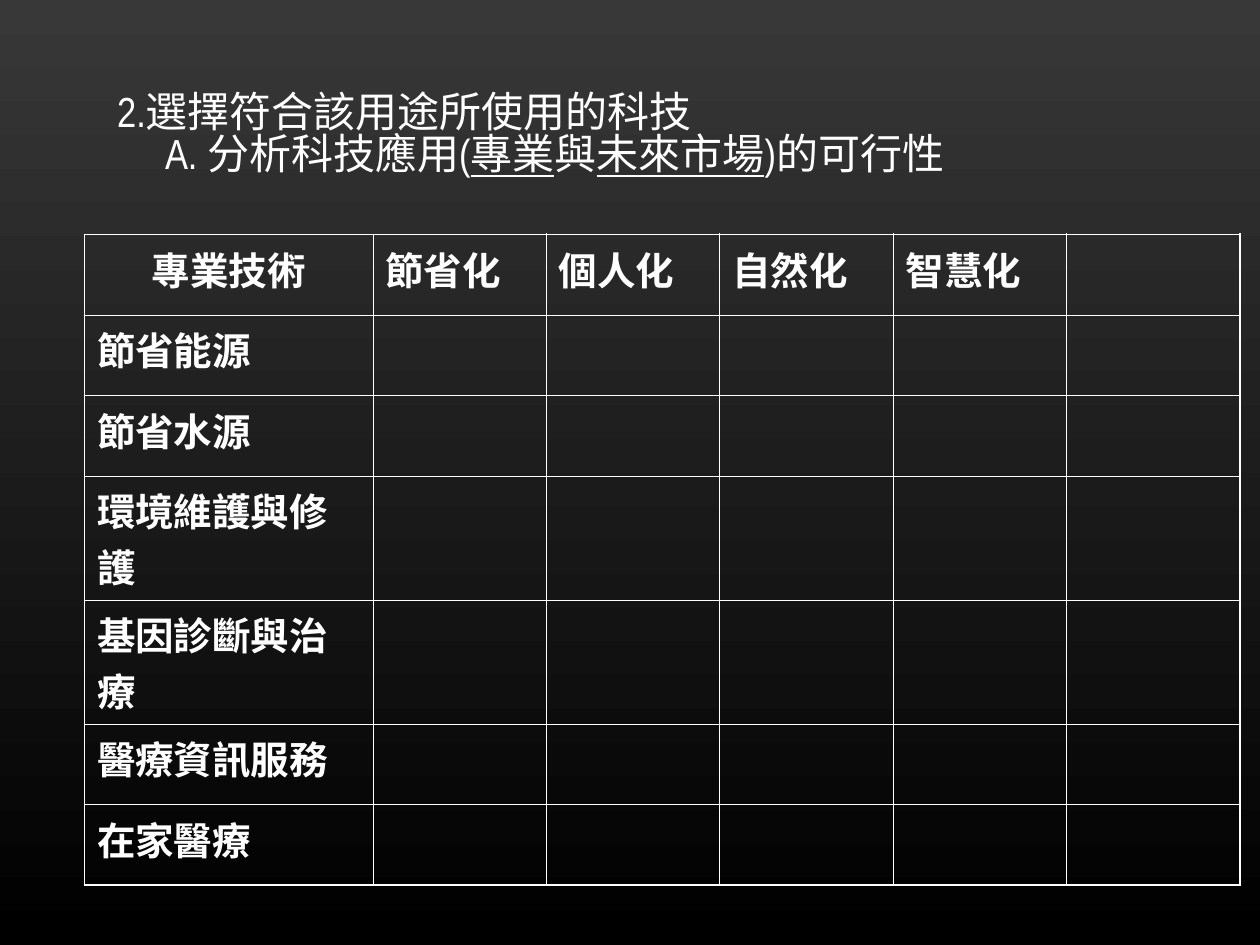
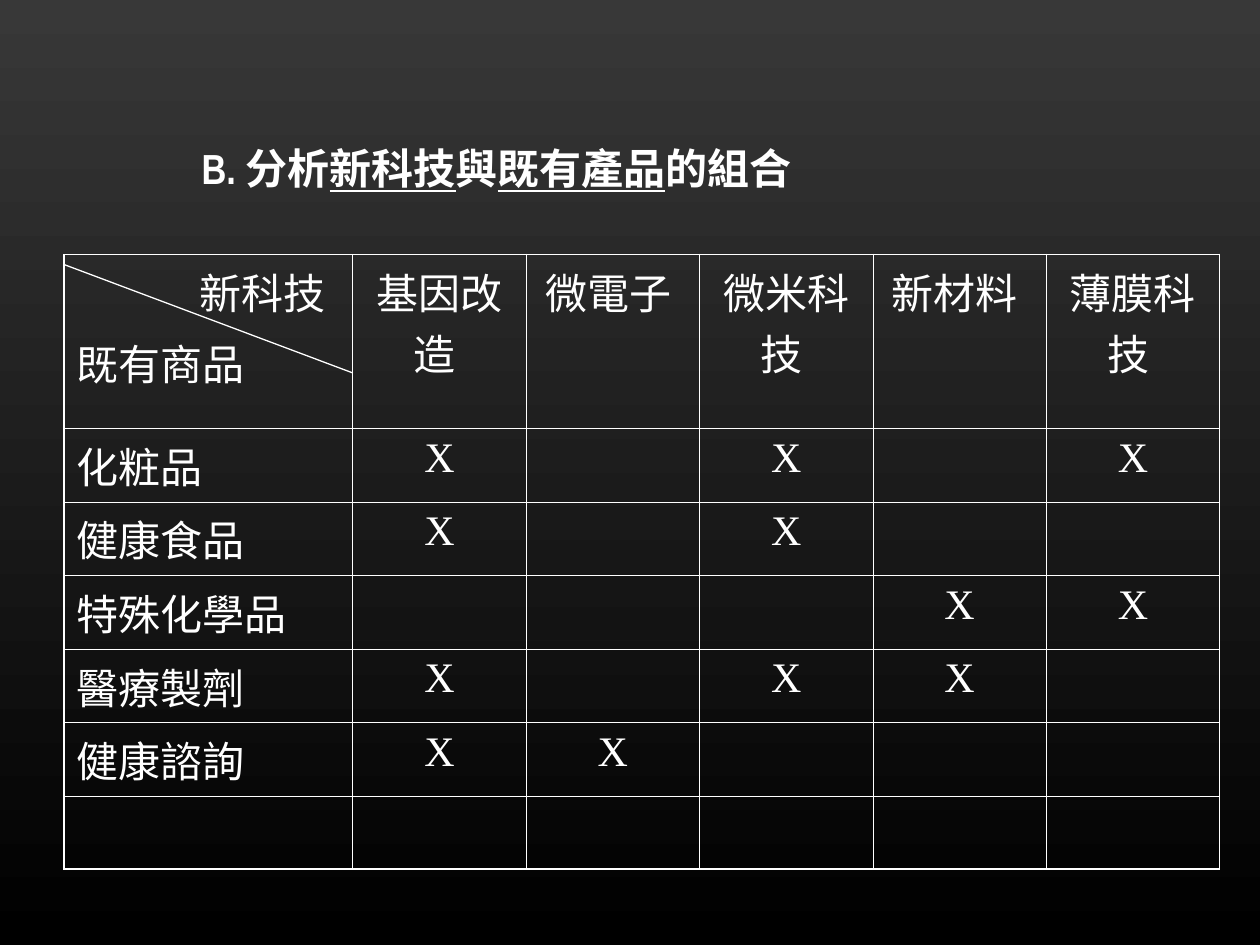
import pptx
import pptx.dml.color
import pptx.enum.shapes
import pptx.enum.text
import pptx.oxml
import pptx.oxml.ns
import pptx.util

Inches = pptx.util.Inches
Pt = pptx.util.Pt
ALIGN = pptx.enum.text.PP_ALIGN

COLORS = {"top": "383838", "bottom": "000000", "white": "FFFFFF"}
LATIN, CJK, SANS, SERIF = "Arial Narrow", "Noto Sans CJK SC", "DejaVu Sans", "Times New Roman"
THIN, THICK = 0.45, 1.08
FIRST_COLUMN, OTHER_COLUMN = 2.29, 1.376


def rgb(name):
    """Return the named palette colour."""
    return pptx.dml.color.RGBColor.from_string(COLORS[name])


def add_text(paragraph, text, size=24, font=CJK, bold=False, underline=False, color="white"):
    """Append one formatted run to a paragraph."""
    run = paragraph.add_run()
    run.text = text
    run.font.size = Pt(size)
    run.font.name = font
    run.font.bold = bold
    run.font.underline = underline
    run.font.color.rgb = rgb(color)
    east_asian = pptx.oxml.parse_xml(
        f'<a:ea {pptx.oxml.ns.nsdecls("a")} typeface="{CJK}"/>')
    run.font._element.find(pptx.oxml.ns.qn("a:latin")).addnext(east_asian)


def set_indent(paragraph, inches):
    """Indent a whole paragraph from the left."""
    properties = paragraph._p.get_or_add_pPr()
    properties.set("marL", str(Inches(inches)))
    properties.set("indent", "0")


def set_borders(cell, widths):
    """Draw the left, right, top and bottom borders of a cell, widths in points."""
    properties = cell._tc.get_or_add_tcPr()
    for position, (side, width) in enumerate(zip("LRTB", widths)):
        properties.insert(position, pptx.oxml.parse_xml(
            f'<a:ln{side} {pptx.oxml.ns.nsdecls("a")} w="{Pt(width)}"><a:solidFill>'
            f'<a:srgbClr val="{COLORS["white"]}"/></a:solidFill></a:ln{side}>'))


class Deck:
    """Holds the shared style and the current slide."""

    def __init__(self):
        """Start a 4:3 presentation with the dark gradient on its master."""
        self.prs = pptx.Presentation()
        self.prs.slide_width, self.prs.slide_height = Inches(10), Inches(7.5)
        fill = self.prs.slide_master.background.fill
        fill.gradient()
        fill.gradient_angle = 270
        for stop, name, position in zip(fill.gradient_stops, ("top", "bottom"), (0, 1)):
            stop.color.rgb = rgb(name)
            stop.position = position
        self.slide = None

    def add_slide(self):
        """Begin a slide that has only a title."""
        self.slide = self.prs.slides.add_slide(self.prs.slide_layouts[5])

    def title(self, left, top, lines, bold=False):
        """Fill the title; each line is an indent and a list of (text, font, underline)."""
        title = self.slide.shapes.title
        title.left, title.top = Inches(left), Inches(top)
        title.width, title.height = Inches(8), Inches(1.25)
        frame = title.text_frame
        frame.word_wrap = True
        frame.auto_size = pptx.enum.text.MSO_AUTO_SIZE.NONE
        frame.vertical_anchor = pptx.enum.text.MSO_ANCHOR.BOTTOM
        for number, (indent, parts) in enumerate(lines):
            paragraph = frame.add_paragraph() if number else frame.paragraphs[0]
            paragraph.alignment = ALIGN.LEFT
            paragraph.line_spacing = 0.82
            set_indent(paragraph, indent)
            for text, font, underline in parts:
                add_text(paragraph, text, font=font, underline=underline, bold=bold)

    def grid(self, left, top, heights, columns=6):
        """Add an unfilled table with thin inner and thick outer borders."""
        rows = len(heights)
        width = FIRST_COLUMN + (columns - 1) * OTHER_COLUMN
        table = self.slide.shapes.add_table(
            rows, columns, Inches(left), Inches(top), Inches(width), Inches(sum(heights))).table
        table.first_row = table.horz_banding = False
        for number, column in enumerate(table.columns):
            column.width = Inches(OTHER_COLUMN if number else FIRST_COLUMN)
        for row, height in zip(table.rows, heights):
            row.height = Inches(height)
        for r in range(rows):
            for c in range(columns):
                cell = table.cell(r, c)
                cell.fill.background()
                outer = (c == 0, c == columns - 1, r == 0 and c > 0, r == rows - 1)
                set_borders(cell, [THICK if edge else THIN for edge in outer])
        return table

    def cell_text(self, cell, *lines, align=ALIGN.LEFT, size=24, **style):
        """Write one paragraph per line into a table cell."""
        for number, line in enumerate(lines):
            frame = cell.text_frame
            paragraph = frame.add_paragraph() if number else frame.paragraphs[0]
            paragraph.alignment = align
            paragraph.space_before = Pt(size / 4)
            add_text(paragraph, line, size=size, **style)

    def line(self, x1, y1, x2, y2, width=0.74):
        """Draw a straight white line."""
        line = self.slide.shapes.add_connector(
            pptx.enum.shapes.MSO_CONNECTOR.STRAIGHT,
            Inches(x1), Inches(y1), Inches(x2), Inches(y2))
        line.line.color.rgb = rgb("white")
        line.line.width = Pt(width)
        line._element.spPr.append(
            pptx.oxml.parse_xml(f'<a:effectLst {pptx.oxml.ns.nsdecls("a")}/>'))


def feasibility_slide(deck):
    """Build the feasibility table of technologies against trends."""
    deck.add_slide()
    deck.title(0.83, 0.21, [
        (0, [("2.選擇", LATIN, False), ("符合該用途所使用的科技", CJK, False)]),
        (0.38, [("A. ", LATIN, False), ("分析科技應用", CJK, False), ("(", LATIN, False),
                ("專業", CJK, True), ("與", CJK, False), ("未來市場", CJK, True),
                (")", LATIN, False), ("的可行性", CJK, False)]),
    ])
    technologies = ["節省能源", "節省水源", "環境維護與修護", "基因診斷與治療",
                    "醫療資訊服務", "在家醫療"]
    heights = [0.64] + [0.84 if len(name) > 6 else 0.64 for name in technologies]
    table = deck.grid(0.67, 1.86, heights)
    style = {"size": 22, "bold": True}
    deck.cell_text(table.cell(0, 0), "專業技術", align=ALIGN.CENTER, font=SANS, **style)
    for c, trend in enumerate(["節省化", "個人化", "自然化", "智慧化"], 1):
        deck.cell_text(table.cell(0, c), trend + " ", **style)
    for r, technology in enumerate(technologies, 1):
        deck.cell_text(table.cell(r, 0), technology, **style)


def combination_slide(deck):
    """Build the matrix of new technologies against existing products."""
    left, top = 0.51, 2.02
    deck.add_slide()
    deck.title(1.5, 0.33, [
        (0, [("B. ", LATIN, False), ("分析", CJK, False), ("新科技", CJK, True),
             ("與", CJK, False), ("既有產品", CJK, True), ("的組合", CJK, False)]),
    ], bold=True)
    table = deck.grid(left, top, [1.38] + [0.58] * 6)
    corner = table.cell(0, 0)
    deck.cell_text(corner, "新科技", "既有商品", font=SERIF)
    set_indent(corner.text_frame.paragraphs[0], 0.97)
    for c, technology in enumerate(["基因改造", "微電子", "微米科技", "新材料", "薄膜科技"], 1):
        deck.cell_text(table.cell(0, c), technology + " ", align=ALIGN.CENTER, font=SERIF)
    marked_columns = {"化粧品": (1, 3, 5), "健康食品": (1, 3), "特殊化學品": (4, 5),
                      "醫療製劑": (1, 3, 4), "健康諮詢": (1, 2)}
    for r, (product, marks) in enumerate(marked_columns.items(), 1):
        deck.cell_text(table.cell(r, 0), product, font=SERIF)
        for c in marks:
            deck.cell_text(table.cell(r, c), "X", align=ALIGN.CENTER, font=SERIF)
    deck.line(left, top + 0.08, left + FIRST_COLUMN, top + 0.94)


deck = Deck()
feasibility_slide(deck)
combination_slide(deck)
deck.prs.save("out.pptx")
